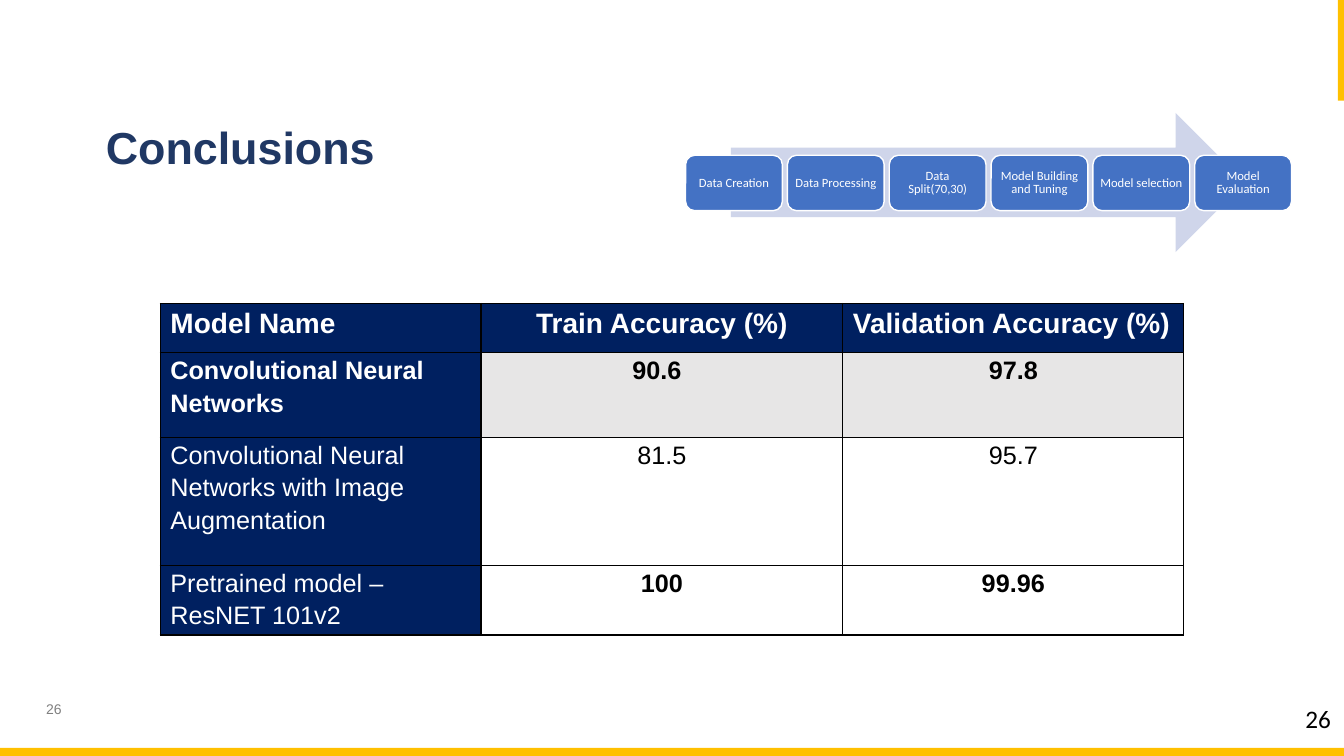
import pptx
import pptx.util
import pptx.dml.color
import pptx.enum.shapes
import pptx.enum.text
import pptx.oxml
import pptx.oxml.ns

Inches = pptx.util.Inches
Pt = pptx.util.Pt
ALIGN = pptx.enum.text.PP_ALIGN
ANCHOR = pptx.enum.text.MSO_ANCHOR
SHAPE = pptx.enum.shapes.MSO_SHAPE
NAVY, GOLD, WHITE, BLACK = "002060", "FFC000", "FFFFFF", "000000"


def paint(color_format, color):
    color_format.rgb = pptx.dml.color.RGBColor.from_string(color)


def write(frame, text, size, font, color, bold=False, align=ALIGN.LEFT, spacing=1.0):
    frame.word_wrap = True
    paragraph = frame.paragraphs[0]
    paragraph.text = text
    paragraph.alignment = align
    paragraph.line_spacing = spacing
    paragraph.font.size = Pt(size)
    paragraph.font.name = font
    paragraph.font.bold = bold
    paint(paragraph.font.color, color)
    return paragraph


presentation = pptx.Presentation()
presentation.slide_width = Inches(13.33)
presentation.slide_height = Inches(7.5)
slide = presentation.slides.add_slide(presentation.slide_layouts[6])

# Gold edge bars
for left, top, width, height in [(13.27, 0, 0.08, 1), (0, 7.42, 13.33, 0.09)]:
    bar = slide.shapes.add_shape(
        SHAPE.RECTANGLE, Inches(left), Inches(top), Inches(width), Inches(height))
    bar.shadow.inherit = False
    bar.fill.solid()
    paint(bar.fill.fore_color, GOLD)
    bar.line.fill.background()

# Title
title = slide.shapes.add_textbox(Inches(0.92), Inches(0.4), Inches(11.5), Inches(1.45))
title_frame = title.text_frame
title_frame.vertical_anchor = ANCHOR.BOTTOM
title_frame.margin_left = title_frame.margin_right = Inches(0.13)
title_frame.margin_top = title_frame.margin_bottom = Inches(0.13)
heading = write(title_frame, "Conclusions", 32, "Arial", "203864", True, spacing=1.15)
heading.space_before = Pt(26.7)
heading.space_after = Pt(8)

# Slide numbers
left_number = slide.shapes.add_textbox(Inches(0.16), Inches(6.83), Inches(0.75), Inches(0.4))
left_number.text_frame.vertical_anchor = ANCHOR.MIDDLE
write(left_number.text_frame, "26", 10, "Arial", "808080", align=ALIGN.CENTER)

right_number = slide.shapes.add_textbox(Inches(12.53), Inches(6.85), Inches(0.8), Inches(0.46))
right_number.text_frame.margin_top = right_number.text_frame.margin_right = Inches(0.13)
write(right_number.text_frame, "26", 18, "Calibri", BLACK, align=ALIGN.RIGHT)

# Accuracy table: each row holds its texts and which of them are bold
rows = [
    (["Model Name", "Train Accuracy (%)", "Validation Accuracy (%)"], [True, True, True]),
    (["Convolutional Neural Networks", "90.6", "97.8"], [True, True, True]),
    (["Convolutional Neural Networks with Image Augmentation", "81.5", "95.7"],
     [False, False, False]),
    (["Pretrained model – ResNET 101v2", "100", "99.96"], [False, True, True]),
]
table = slide.shapes.add_table(
    4, 3, Inches(1.59), Inches(3.01), Inches(10.15), Inches(3.29)).table
for column, width in zip(table.columns, [3.18, 3.59, 3.38]):
    column.width = Inches(width)
for row, height in zip(table.rows, [0.49, 0.84, 1.27, 0.69]):
    row.height = Inches(height)

for r, (texts, bolds) in enumerate(rows):
    for c, (text, bold) in enumerate(zip(texts, bolds)):
        cell = table.cell(r, c)
        cell.margin_left = cell.margin_right = Inches(0.1)
        cell.margin_top = cell.margin_bottom = 0
        for side in ("lnL", "lnR", "lnT", "lnB"):
            cell._tc.get_or_add_tcPr().append(pptx.oxml.parse_xml(
                f'<a:{side} {pptx.oxml.ns.nsdecls("a")} w="12700"><a:solidFill>'
                f'<a:srgbClr val="{BLACK}"/></a:solidFill></a:{side}>'))
        is_header = r == 0 or c == 0
        cell.fill.solid()
        paint(cell.fill.fore_color, NAVY if is_header else "E7E6E6" if r == 1 else WHITE)
        left_aligned = c == 0 or (r, c) == (0, 2)
        write(cell.text_frame, text, 20 if r == 0 else 18, "Arial",
              WHITE if is_header else BLACK, bold,
              ALIGN.LEFT if left_aligned else ALIGN.CENTER, 1.15)
table.cell(1, 1).margin_right = Inches(0.2)

# Process arrow with its steps
arrow = slide.shapes.add_shape(
    SHAPE.RIGHT_ARROW, Inches(7.25), Inches(1.12), Inches(5.1), Inches(1.38))
arrow.shadow.inherit = False
arrow.fill.solid()
paint(arrow.fill.fore_color, "CFD5EA")
arrow.line.fill.background()

steps = ["Data Creation", "Data Processing", "Data Split(70,30)",
         "Model Building and Tuning", "Model selection", "Model Evaluation"]
for i, step in enumerate(steps):
    box = slide.shapes.add_shape(
        SHAPE.ROUNDED_RECTANGLE, Inches(6.8 + 1.01 * i), Inches(1.54), Inches(0.96), Inches(0.55))
    box.shadow.inherit = False
    box.fill.solid()
    paint(box.fill.fore_color, "4472C4")
    paint(box.line.color, WHITE)
    box.line.width = Pt(1)
    frame = box.text_frame
    frame.vertical_anchor = ANCHOR.MIDDLE
    frame.margin_left = frame.margin_right = Inches(0.04)
    frame.margin_top = frame.margin_bottom = Inches(0.04)
    write(frame, step, 9, "Calibri", WHITE, align=ALIGN.CENTER, spacing=0.9)

presentation.save("out.pptx")
